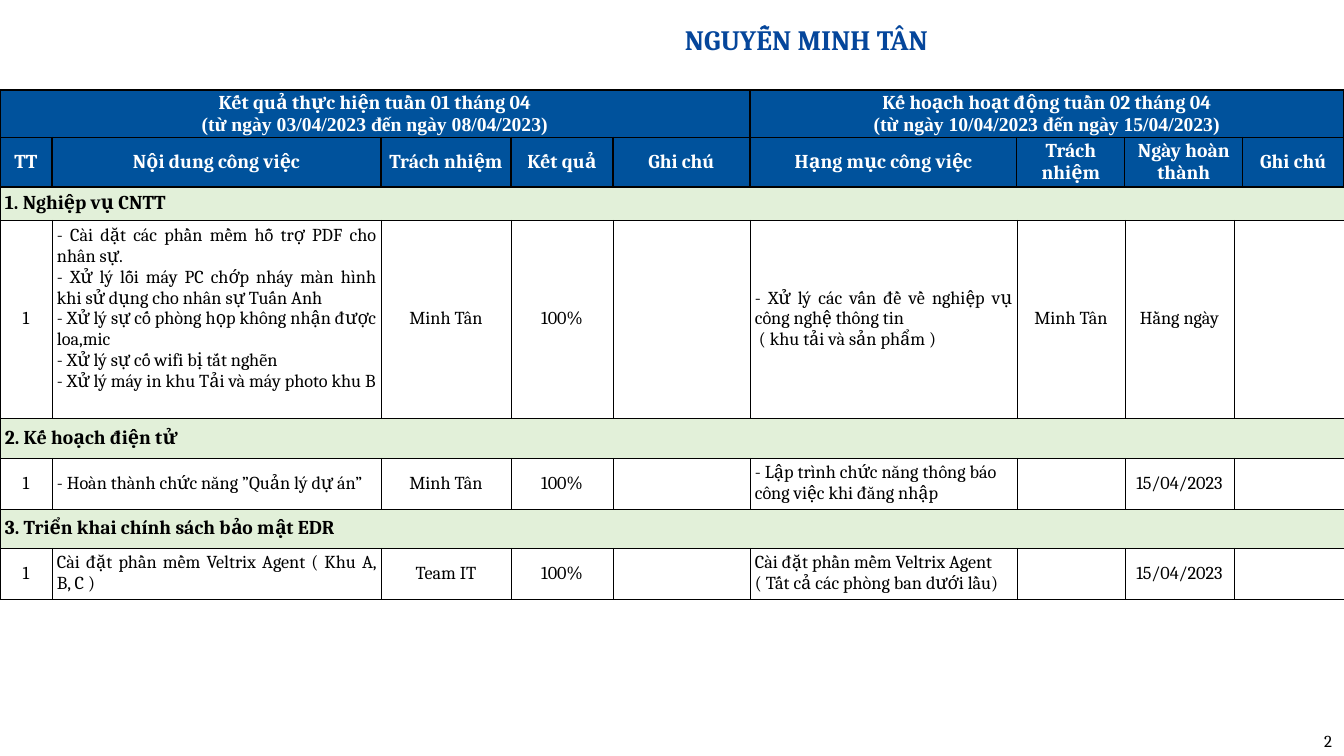
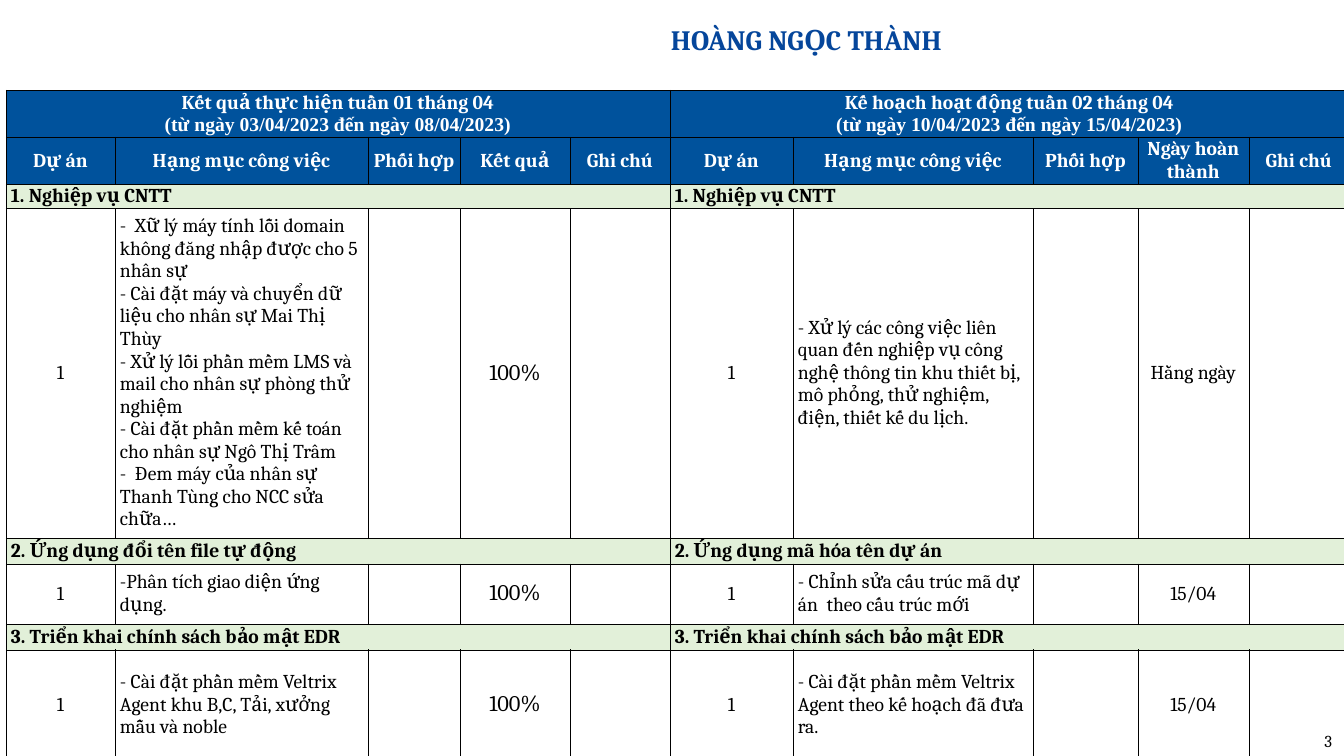
from dataclasses import dataclass

from lxml import etree
from pptx import Presentation
from pptx import util as u
from pptx.dml.color import RGBColor
from pptx.enum import text
from pptx.oxml.ns import qn

PX = 914400 / 100.8
NAVY = RGBColor(0x05, 0x46, 0x9B)
BLUE = RGBColor(0x00, 0x52, 0x9C)
GREEN = RGBColor(0xE2, 0xF0, 0xD9)
WHITE = RGBColor(0xFF, 0xFF, 0xFF)
BLACK = RGBColor(0x00, 0x00, 0x00)
FONT = "Cambria"
DATE_FONT = "Times New Roman"
LEFT, CENTER, RIGHT, JUSTIFY = (
    text.PP_ALIGN.LEFT, text.PP_ALIGN.CENTER,
    text.PP_ALIGN.RIGHT, text.PP_ALIGN.JUSTIFY)

PERIODS = (
    "Kết quả thực hiện tuần 01 tháng 04\n(từ ngày 03/04/2023 đến ngày 08/04/2023)",
    "Kế hoạch hoạt động tuần 02 tháng 04\n(từ ngày 10/04/2023 đến ngày 15/04/2023)",
)
SUPPORT = "1. Nghiệp vụ CNTT"
SECURITY = "3. Triển khai chính sách bảo mật EDR"


@dataclass
class Report:
    name: str
    page: int
    left: int
    cols: list
    heights: list
    headers: list
    items: list
    task_cols: tuple
    size: int
    percent_size: int
    header_line: float
    justified: tuple = ()
    bottom_gaps: tuple = ()


def px(n):
    return u.Emu(round(n * PX))


def spread(*titles):
    width = 10 // len(titles)
    return [value for t in titles for value in [t] + [None] * (width - 1)]


def format_paragraph(p, size, color, bold=False, align=LEFT, font=FONT):
    p.alignment = align
    for r in p.runs:
        r.font.name = font
        r.font.size = u.Pt(size)
        r.font.bold = bold
        r.font.color.rgb = color


def add_name(s, name):
    sp = s.shapes.title
    sp.left, sp.top, sp.width, sp.height = px(269), px(0), px(1075), px(79)
    tf = sp.text_frame
    tf.text = name
    tf.auto_size = text.MSO_AUTO_SIZE.NONE
    tf.vertical_anchor = text.MSO_ANCHOR.MIDDLE
    format_paragraph(tf.paragraphs[0], 20, NAVY, True, CENTER)


def add_page_number(s, page):
    tf = s.shapes.add_textbox(px(1190), px(726), px(152), px(30)).text_frame
    tf.word_wrap = True
    tf.text = str(page)
    format_paragraph(tf.paragraphs[0], 12, BLACK, align=RIGHT)


def set_borders(cell, width):
    tcPr = cell._tc.get_or_add_tcPr()
    for side in ("lnL", "lnR", "lnT", "lnB"):
        ln = etree.SubElement(tcPr, qn(f"a:{side}"), w=str(u.Pt(width)))
        fill = etree.SubElement(ln, qn("a:solidFill"))
        etree.SubElement(fill, qn("a:srgbClr"), val=str(BLACK))


def set_cell(cell, value, fill, line, size, color, bold, align, bottom=0):
    set_borders(cell, line)
    if fill is None:
        cell.fill.background()
    else:
        cell.fill.solid()
        cell.fill.fore_color.rgb = fill
    cell.margin_left = cell.margin_right = px(5)
    cell.margin_top, cell.margin_bottom = px(0), px(bottom)
    cell.vertical_anchor = text.MSO_ANCHOR.MIDDLE
    tf = cell.text_frame
    if not value:
        etree.SubElement(tf.paragraphs[0]._p, qn("a:endParaRPr"), sz=str(size * 100))
        return
    tf.text = value
    for p in tf.paragraphs:
        font = DATE_FONT if p.text.startswith("(từ ngày") else FONT
        format_paragraph(p, size, color, bold, align, font)


def cell_style(report, row, col, value):
    if row < 2:
        return BLUE, report.header_line, 14, WHITE, True, CENTER
    if row % 2 == 0:
        return GREEN, 0.25, 14, BLACK, True, LEFT
    size = report.percent_size if value == "100%" else report.size
    align = LEFT if col in report.task_cols else CENTER
    if (row, col) in report.justified:
        align = JUSTIFY
    return None, 0.25, size, BLACK, False, align


def add_report_table(s, report):
    rows = [spread(*PERIODS), report.headers, *report.items]
    table = s.shapes.add_table(
        len(rows), len(report.cols), px(report.left), px(90),
        px(sum(report.cols)), px(sum(report.heights))).table
    table.first_row = table.horz_banding = False
    for column, width in zip(table.columns, report.cols):
        column.width = px(width)
    for row, height in zip(table.rows, report.heights):
        row.height = px(height)
    gaps = dict(report.bottom_gaps)
    for i, values in enumerate(rows):
        starts = [j for j, value in enumerate(values) if value is not None]
        for j, value in enumerate(values):
            set_cell(table.cell(i, j), value, *cell_style(report, i, j, value),
                     bottom=gaps.get((i, j), 0))
        for first, after in zip(starts, starts[1:] + [len(values)]):
            if after - first > 1:
                table.cell(i, first).merge(table.cell(i, after - 1))


TAN = Report(
    name="NGUYỄN MINH TÂN", page=2, left=0,
    cols=[52, 329, 130, 102, 137, 267, 108, 109, 9, 101],
    heights=[47, 50, 33, 198, 40, 51, 39, 51],
    headers=["TT", "Nội dung công việc", "Trách nhiệm", "Kết quả", "Ghi chú",
             "Hạng mục công việc", "Trách nhiệm", "Ngày hoàn thành", None, "Ghi chú"],
    items=[
        spread(SUPPORT),
        ["1",
         "- Cài dặt các phần mềm hỗ trợ PDF cho nhân sự.\n"
         "- Xử lý lỗi máy PC chớp nháy màn hình khi sử dụng cho nhân sự Tuấn Anh\n"
         "- Xử lý sự cố phòng họp không nhận được loa,mic\n"
         "- Xử lý sự cố wifi bị tắt nghẽn\n"
         "- Xử lý máy in khu Tải và máy photo khu B",
         "Minh Tân", "100%", "",
         "- Xử lý các vấn đề về nghiệp vụ công nghệ thông tin\n"
         " ( khu tải và sản phẩm )",
         "Minh Tân", "Hằng ngày", "", None],
        spread("2. Kế hoạch điện tử"),
        ["1", "- Hoàn thành chức năng ”Quản lý dự án”", "Minh Tân", "100%", "",
         "- Lập trình chức năng thông báo công việc khi đăng nhập",
         "", "15/04/2023", "", None],
        spread(SECURITY),
        ["1", "Cài đặt phần mềm Veltrix Agent ( Khu A, B, C )", "Team IT", "100%", "",
         "Cài đặt phần mềm Veltrix Agent ( Tất cả các phòng ban dưới lầu)",
         "", "15/04/2023", "", None],
    ],
    task_cols=(1, 5), size=13, percent_size=13, header_line=1,
    justified=((3, 1), (5, 1), (7, 1), (3, 5)),
    bottom_gaps=(((3, 1), 21),),
)

THANH = Report(
    name="HOÀNG NGỌC THÀNH", page=3, left=6,
    cols=[109, 253, 92, 110, 100, 123, 240, 105, 111, 100],
    heights=[45, 47, 24, 319, 26, 60, 26, 110],
    headers=["Dự án", "Hạng mục công việc", "Phối hợp", "Kết quả", "Ghi chú",
             "Dự án", "Hạng mục công việc", "Phối hợp", "Ngày hoàn thành", "Ghi chú"],
    items=[
        spread(SUPPORT, SUPPORT),
        ["1",
         "-  Xữ lý máy tính lỗi domain không đăng nhập được cho 5 nhân sự\n"
         "- Cài đặt máy và chuyển dữ liệu cho nhân sự Mai Thị Thùy\n"
         "- Xử lý lỗi phần mềm LMS và mail cho nhân sự phòng thử nghiệm\n"
         "- Cài đặt phần mềm kế toán cho nhân sự Ngô Thị Trâm\n"
         "-  Đem máy của nhân sự Thanh Tùng cho NCC sửa chữa…",
         "", "100%", "", "1",
         "- Xử lý các công việc liên quan đến nghiệp vụ công nghệ thông tin "
         "khu thiết bị, mô phỏng, thử nghiệm, điện, thiết kế du lịch.",
         "", "Hằng ngày", ""],
        spread("2. Ứng dụng đổi tên file tự động", "2. Ứng dụng mã hóa tên dự án"),
        ["1", "-Phân tích giao diện ứng dụng.", "", "100%", "",
         "1", "- Chỉnh sửa cấu trúc mã dự án  theo cấu trúc mới", "", "15/04", ""],
        spread(SECURITY, SECURITY),
        ["1", "- Cài đặt phần mềm Veltrix Agent khu B,C, Tải, xưởng mẫu và noble",
         "", "100%", "",
         "1", "- Cài đặt phần mềm Veltrix Agent theo kế hoạch đã đưa ra.",
         "", "15/04", ""],
    ],
    task_cols=(1, 6), size=14, percent_size=16, header_line=0.25,
)


def main():
    prs = Presentation()
    prs.slide_width, prs.slide_height = px(1344), px(756)
    for report in (TAN, THANH):
        s = prs.slides.add_slide(prs.slide_layouts[5])
        add_page_number(s, report.page)
        add_name(s, report.name)
        add_report_table(s, report)
    prs.save("out.pptx")


if __name__ == "__main__":
    main()
